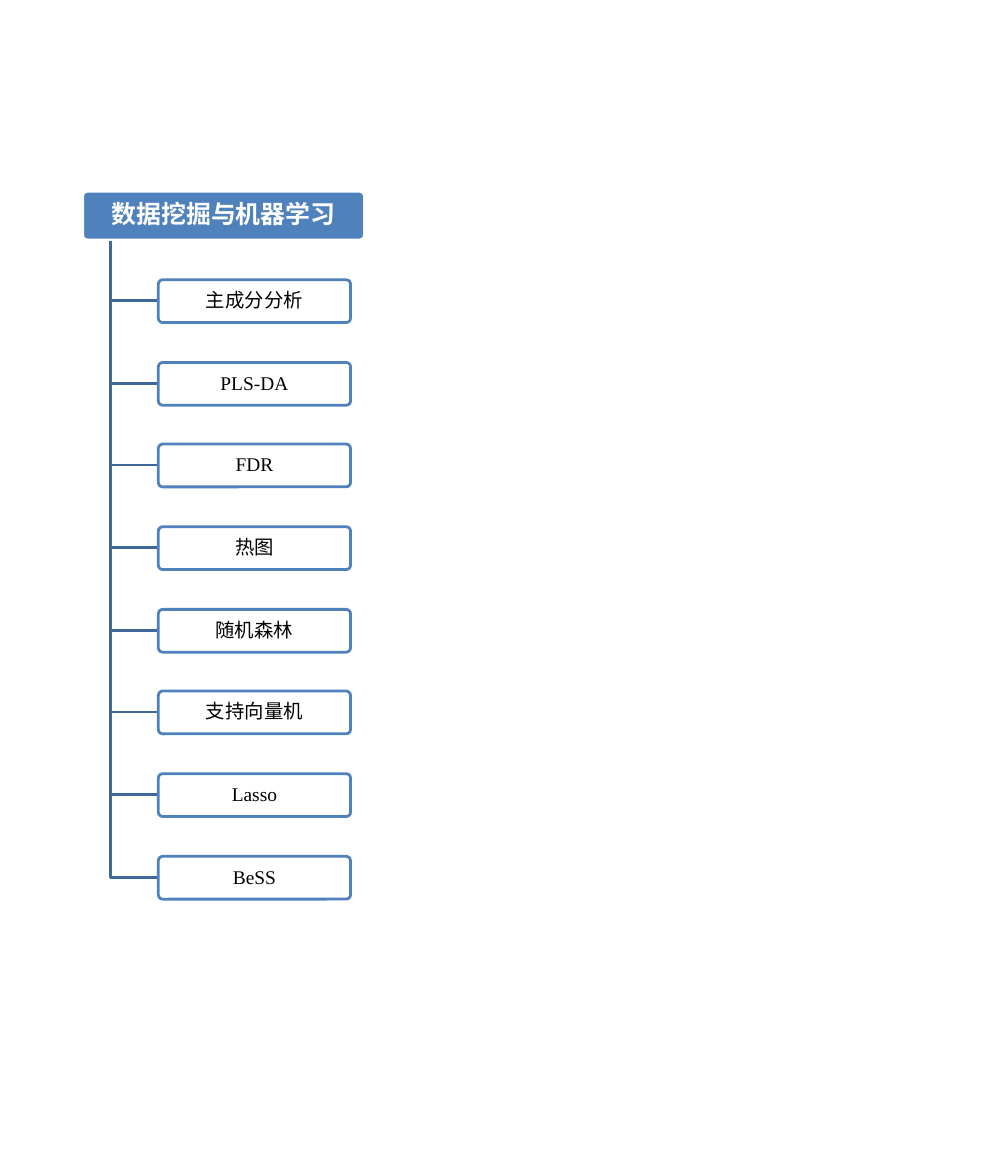
from dataclasses import dataclass

from lxml import etree
from pptx import Presentation
from pptx.dml.color import RGBColor
from pptx.enum.shapes import MSO_SHAPE
from pptx.enum.text import MSO_ANCHOR, PP_ALIGN
from pptx.oxml.ns import qn
from pptx.shapes.autoshape import Shape
from pptx.slide import Slide
from pptx.util import Pt

ROUNDED = MSO_SHAPE.ROUNDED_RECTANGLE
MIDDLE = MSO_ANCHOR.MIDDLE
CENTER = PP_ALIGN.CENTER

PX = 9144  # EMU per px, 100 px to the inch
COLORS = {
    "blue": "4F81BD",
    "trunk": "3F6797",
    "white": "FFFFFF",
    "black": "000000",
}
HANZI_FONT = "Calibri"
LATIN_FONT = "Times New Roman"

TRUNK_X, TRUNK_TOP = 111, 242
BOX_LEFT, BOX_WIDTH, BOX_HEIGHT = 159, 193, 43
FIRST_TOP, PITCH = 281, 82.7


@dataclass(frozen=True)
class Method:
    name: str
    font: str = HANZI_FONT


METHODS = [
    Method("主成分分析"),
    Method("PLS-DA", LATIN_FONT),
    Method("FDR", LATIN_FONT),
    Method("热图"),
    Method("随机森林"),
    Method("支持向量机"),
    Method("Lasso", LATIN_FONT),
    Method("BeSS", LATIN_FONT),
]


def color(name: str) -> RGBColor:
    return RGBColor.from_string(COLORS[name])


def set_line(shape: Shape, name: str) -> None:
    shape.line.color.rgb = color(name)
    shape.line.width = Pt(2)
    shape.shadow.inherit = False


def set_opacity(shape: Shape, percent: int) -> None:
    fill_color = shape._element.spPr.find(qn("a:solidFill"))[0]
    etree.SubElement(fill_color, qn("a:alpha")).set("val", str(percent * 1000))


def add_box(slide: Slide, left: int, top: int, width: int, height: int,
            *, fill: str, line: str) -> Shape:
    box = slide.shapes.add_shape(
        ROUNDED, left * PX, top * PX, width * PX, height * PX)
    box.adjustments[0] = 0.1
    box.fill.solid()
    box.fill.fore_color.rgb = color(fill)
    set_line(box, line)
    return box


def write_text(shape: Shape, text: str, *, size: int, font: str,
               text_color: str, bold: bool = False, inset: int = 3) -> None:
    frame = shape.text_frame
    frame.word_wrap = True
    frame.vertical_anchor = MIDDLE
    frame.margin_left = frame.margin_right = (inset + 1) * PX
    frame.margin_top = frame.margin_bottom = inset * PX
    paragraph = frame.paragraphs[0]
    paragraph.alignment = CENTER
    paragraph.line_spacing = 0.9
    run = paragraph.add_run()
    run.text = text
    run.font.size = Pt(size)
    run.font.name = font
    run.font.bold = bold
    run.font.color.rgb = color(text_color)


def add_branch(slide: Slide, y: int) -> None:
    """Draw an elbow from the heading down the trunk to a box's left side."""
    builder = slide.shapes.build_freeform(TRUNK_X, TRUNK_TOP, scale=PX)
    builder.add_line_segments([(TRUNK_X, y), (BOX_LEFT, y)], close=False)
    branch = builder.convert_to_shape()
    branch.fill.background()
    set_line(branch, "trunk")


def add_method(slide: Slide, method: Method, top: int) -> None:
    add_branch(slide, top + BOX_HEIGHT // 2)
    box = add_box(slide, BOX_LEFT, top, BOX_WIDTH, BOX_HEIGHT,
                  fill="white", line="blue")
    set_opacity(box, 90)
    write_text(box, method.name, size=14, font=method.font, text_color="black")


def main() -> None:
    presentation = Presentation()
    presentation.slide_width = 1000 * PX
    presentation.slide_height = 1181 * PX
    slide = presentation.slides.add_slide(presentation.slide_layouts[6])

    heading = add_box(slide, 83, 192, 283, 49, fill="blue", line="white")
    write_text(heading, "数据挖掘与机器学习", size=18, font=HANZI_FONT,
               text_color="white", bold=True, inset=4)
    for index, method in enumerate(METHODS):
        add_method(slide, method, round(FIRST_TOP + index * PITCH))

    presentation.save("out.pptx")


if __name__ == "__main__":
    main()
